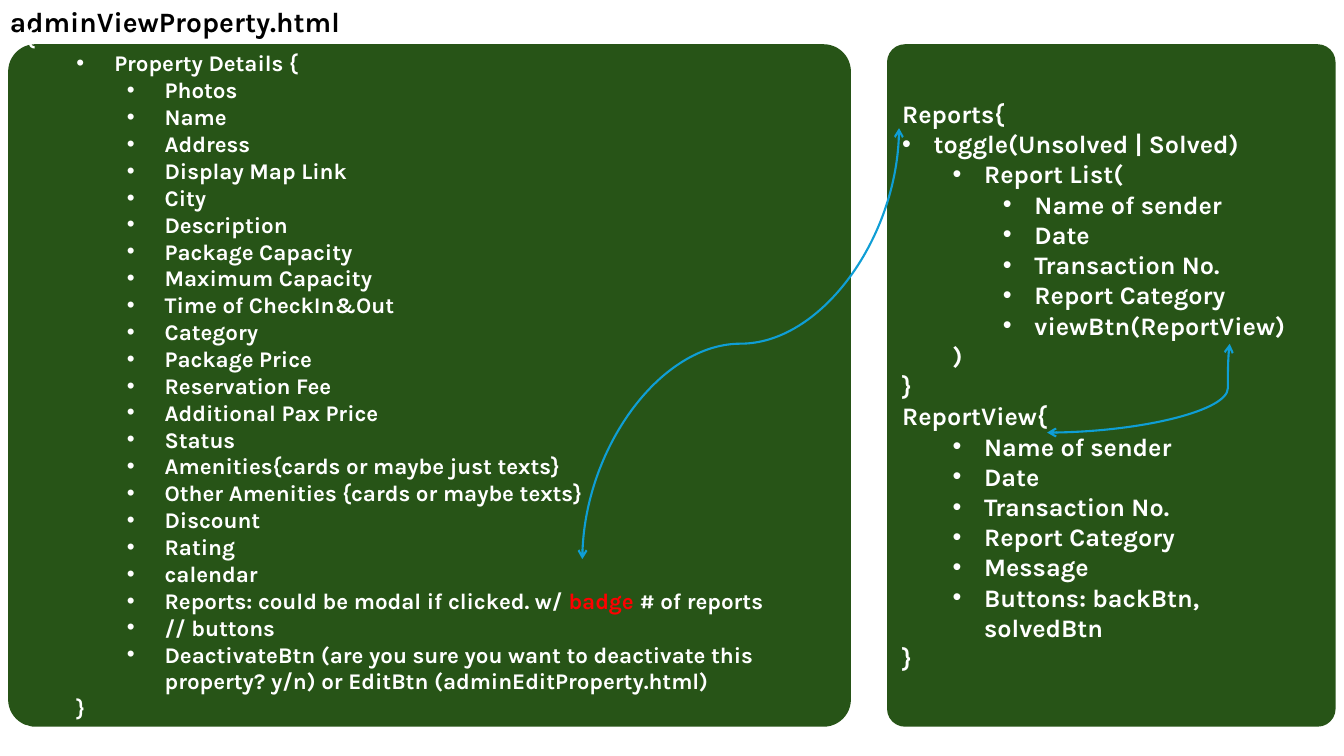
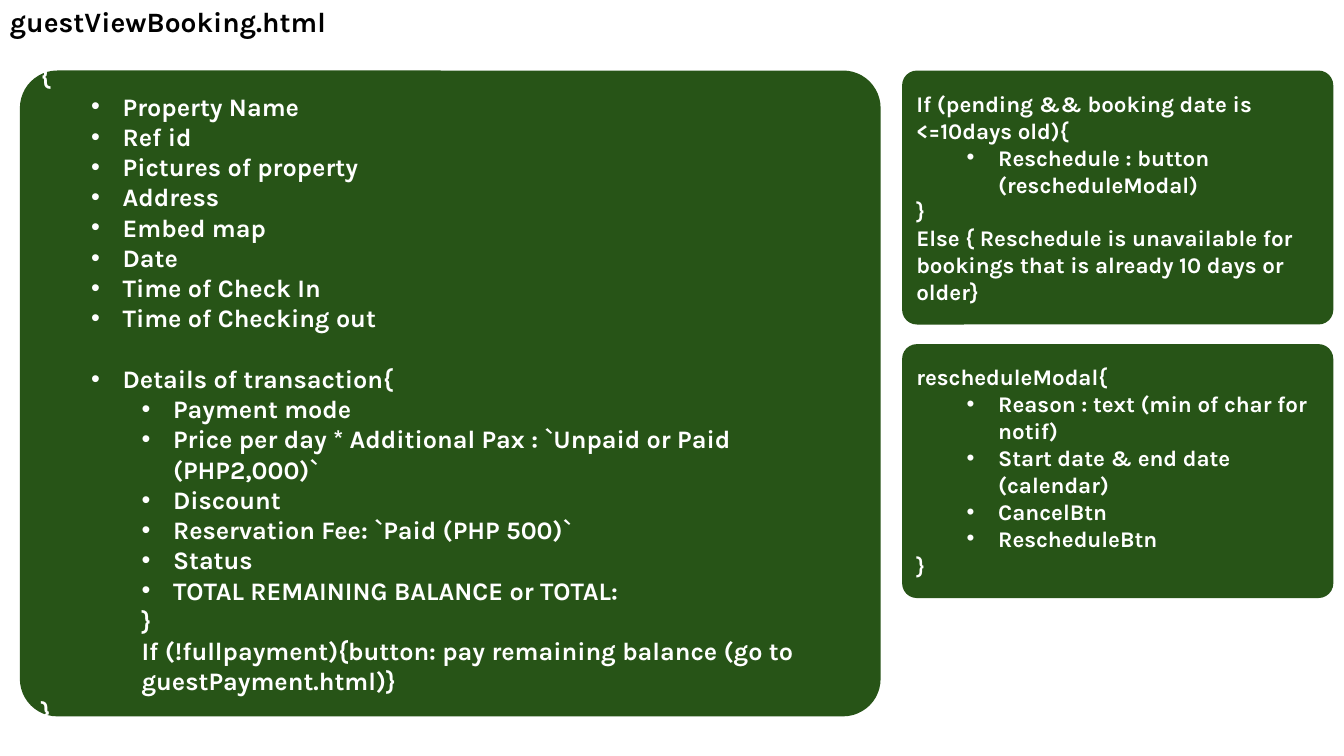
import lxml.etree
import pptx
import pptx.util
import pptx.dml.color
import pptx.enum.shapes
import pptx.enum.text
import pptx.oxml.ns

Pt = pptx.util.Pt
qn = pptx.oxml.ns.qn
FONT = "Karla"
STEP = 36  # indent of one level
COLORS = {"panel": "275417", "text": "FFFFFF", "title": "000000",
          "alert": "FF0000", "arrow": "0F9ED5"}


def color(name):
    return pptx.dml.color.RGBColor.from_string(COLORS[name])


def node(parent, tag, **attrs):
    lxml.etree.SubElement(parent, qn(tag), attrs)


def add_run(para, text, size, tone):
    run = para.add_run()
    run.text = text
    run.font.name = FONT
    run.font.size = Pt(size)
    run.font.bold = True
    run.font.color.rgb = color(tone)


def plain(level, *texts):
    return [(level, False, text) for text in texts]


def dots(level, *texts):
    return [(level, True, text) for text in texts]


def add_title(slide, text):
    box = slide.shapes.add_textbox(Pt(0), Pt(0), Pt(342), Pt(31.5))
    box.text_frame.word_wrap = True
    add_run(box.text_frame.paragraphs[0], text, 20, "title")


def add_line(para, line, size, hang):
    level, dot, text = line
    para.level = level
    para.alignment = pptx.enum.text.PP_ALIGN.LEFT
    props = para._p.get_or_add_pPr()
    left = STEP * level + (hang if dot else 0)
    props.set("marL", str(int(Pt(left))))
    props.set("indent", str(int(Pt(-hang if dot else 0))))
    if dot:
        node(props, "a:buFont", typeface="Arial")
        node(props, "a:buChar", char="•")
    else:
        node(props, "a:buNone")
    parts = [(text, "text")] if isinstance(text, str) else text
    for words, tone in parts:
        add_run(para, words, size, tone)


def add_panel(slide, box, lines, size=18, hang=22.5, bend=0.04):
    shape = slide.shapes.add_shape(
        pptx.enum.shapes.MSO_SHAPE.ROUNDED_RECTANGLE, *map(Pt, box))
    shape.adjustments[0] = bend
    shape.shadow.inherit = False
    shape.fill.solid()
    shape.fill.fore_color.rgb = color("panel")
    shape.line.fill.background()
    frame = shape.text_frame
    frame.word_wrap = True
    frame.vertical_anchor = pptx.enum.text.MSO_ANCHOR.MIDDLE
    for i, line in enumerate(lines):
        para = frame.add_paragraph() if i else frame.paragraphs[0]
        add_line(para, line, size, hang)
    return frame


def add_arrow(slide, start, end, bend=0.5, turned=False):
    """Curved two-headed arrow; a turned one leaves and arrives upright."""
    (x1, y1), (x2, y2) = start, end
    if turned:
        mid_x, mid_y = (x1 + x2) / 2, (y1 + y2) / 2
        dx, dy = y1 - mid_y, mid_x - x1
        x1, y1, x2, y2 = mid_x + dx, mid_y + dy, mid_x - dx, mid_y - dy
    link = slide.shapes.add_connector(
        pptx.enum.shapes.MSO_CONNECTOR.CURVE, *map(Pt, (x1, y1, x2, y2)))
    link.line.color.rgb = color("arrow")
    link.line.width = Pt(1.5)
    props = link._element.spPr
    if turned:
        props.find(qn("a:xfrm")).set("rot", str(90 * 60000))
    guides = props.find(qn("a:prstGeom")).find(qn("a:avLst"))
    node(guides, "a:gd", name="adj1", fmla=f"val {round(bend * 100000)}")
    stroke = props.find(qn("a:ln"))
    node(stroke, "a:headEnd", type="arrow")
    node(stroke, "a:tailEnd", type="arrow")
    node(props, "a:effectLst")


def property_slide(slide):
    add_title(slide, "adminViewProperty.html")
    # Property panel
    badge = [("Reports: could be modal if clicked. w/ ", "text"),
             ("badge", "alert"), (" # of reports", "text")]
    details = (
        plain(0, "{")
        + dots(1, "Property Details {")
        + dots(2, "Photos", "Name", "Address", "Display Map Link", "City",
               "Description", "Package Capacity", "Maximum Capacity",
               "Time of CheckIn&Out", "Category", "Package Price",
               "Reservation Fee", "Additional Pax Price", "Status",
               "Amenities{cards or maybe just texts}",
               "Other Amenities {cards or maybe texts}",
               "Discount", "Rating", "calendar", badge, "// buttons",
               "DeactivateBtn (are you sure you want to deactivate this "
               "property? y/n) or EditBtn (adminEditProperty.html)")
        + plain(1, "}")
        + plain(0, "}"))
    top, height = 31.6, 487.5
    add_panel(slide, (5.8, top, 602, height), details, size=16, hang=27)
    # Reports panel
    fields = ("Name of sender", "Date", "Transaction No.", "Report Category")
    reports = (
        plain(0, "Reports{")
        + dots(0, "toggle(Unsolved | Solved)")
        + dots(1, "Report List(")
        + dots(2, *fields, "viewBtn(ReportView)")
        + plain(1, ")")
        + plain(0, "}", "ReportView{")
        + dots(1, *fields, "Message", "Buttons: backBtn, solvedBtn")
        + plain(0, "}"))
    add_panel(slide, (633.6, top, 320.4, height), reports)
    # Arrows between the parts
    add_arrow(slide, (416, 399.4), (642.2, 91.6), turned=True)
    add_arrow(slide, (748, 309), (878.4, 245.6), bend=0.99)


def booking_slide(slide):
    add_title(slide, "guestViewBooking.html")
    top, bend = 50.4, 0.058
    # Booking panel
    facts = (
        plain(0, "{")
        + dots(1, "Property Name", "Ref id", "Pictures of property",
               "Address", "Embed map", "Date", "Time of Check In",
               "Time of Checking out"))
    deal = (
        dots(1, "Details of transaction{")
        + dots(2, "Payment mode",
               "Price per day * Additional Pax : `Unpaid or Paid (PHP2,000)`",
               "Discount", "Reservation Fee: `Paid (PHP 500)`", "Status",
               "TOTAL REMAINING BALANCE or TOTAL:")
        + plain(2, "}", "If (!fullpayment){button: pay remaining balance "
                "(go to guestPayment.html)}")
        + plain(0, "}"))
    frame = add_panel(slide, (14.2, top, 614.8, 461.3), facts + deal,
                      bend=bend)
    frame.paragraphs[len(facts)].space_before = Pt(21.6)
    # Reschedule panels
    rule = (
        plain(0, "If (pending && booking date is <=10days old){")
        + dots(1, "Reschedule : button (rescheduleModal)")
        + plain(0, "}", "Else { Reschedule is unavailable for bookings "
                "that is already 10 days or older}"))
    modal = (
        plain(0, "rescheduleModal{")
        + dots(1, "Reason : text (min of char for notif)",
               "Start date & end date (calendar)", "CancelBtn",
               "RescheduleBtn")
        + plain(0, "}"))
    height, gap = 181.4, 14
    for i, lines in enumerate((rule, modal)):
        box = (644.4, top + i * (height + gap), 308, height)
        add_panel(slide, box, lines, size=16, bend=bend)


def main():
    deck = pptx.Presentation()
    deck.slide_width, deck.slide_height = Pt(960), Pt(540)
    for build in (property_slide, booking_slide):
        build(deck.slides.add_slide(deck.slide_layouts[6]))
    deck.save("out.pptx")


if __name__ == "__main__":
    main()
